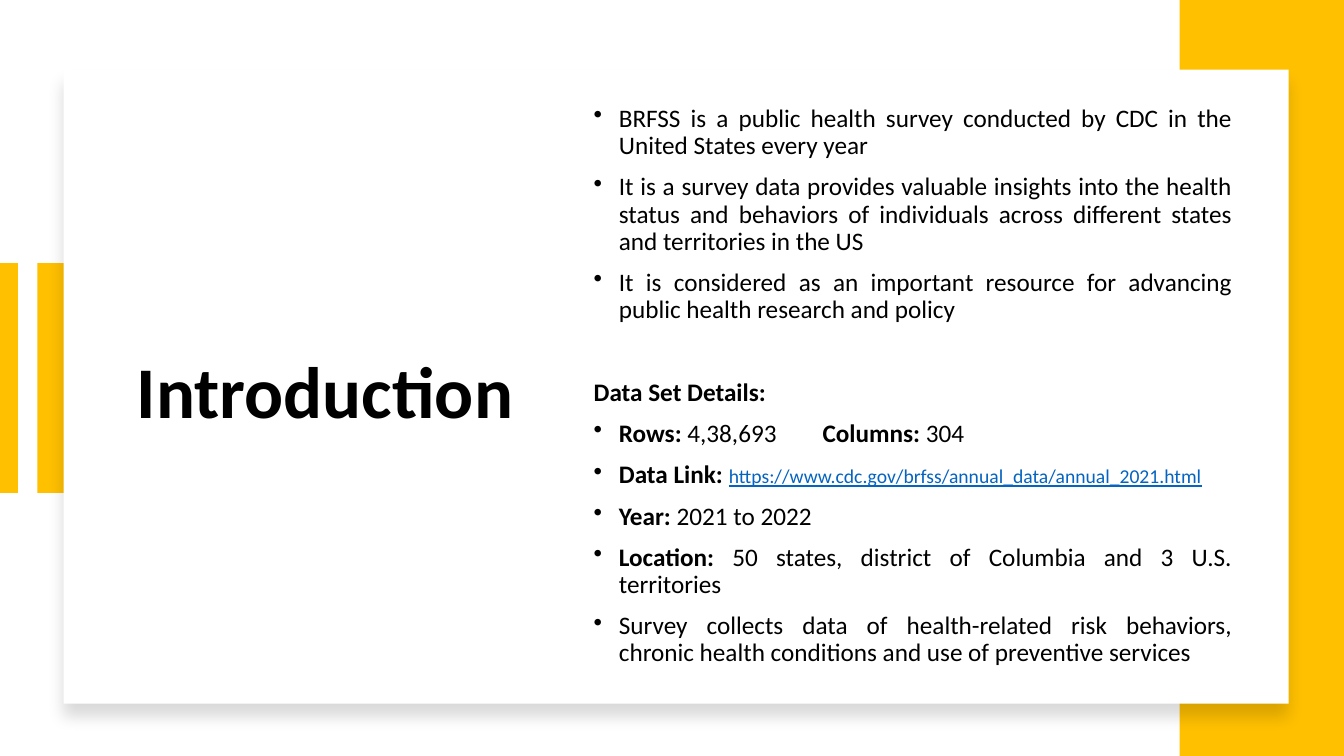
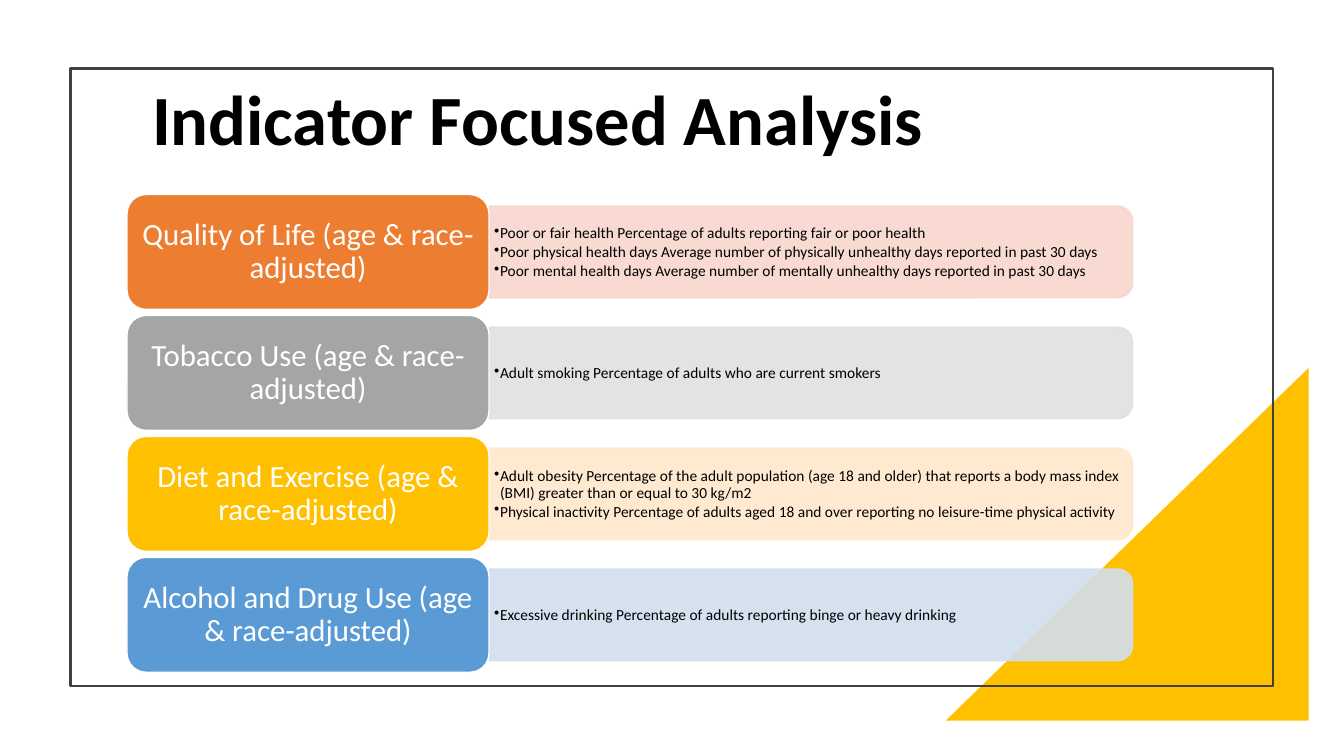
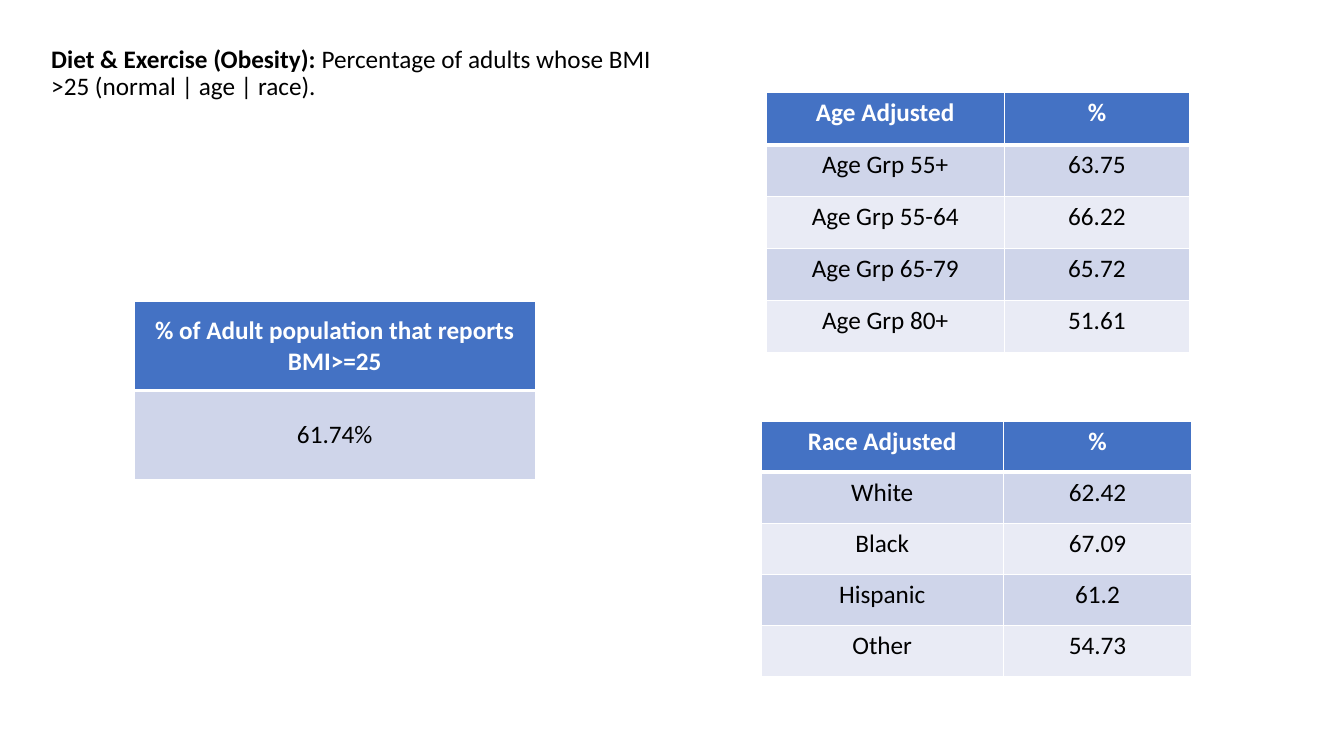
import dataclasses

import lxml.etree
import pptx
import pptx.dml.color
import pptx.enum.shapes
import pptx.enum.text
import pptx.oxml
import pptx.oxml.ns
import pptx.util

Inches = pptx.util.Inches
Pt = pptx.util.Pt
RGB = pptx.dml.color.RGBColor.from_string
qn = pptx.oxml.ns.qn
Shape = pptx.enum.shapes.MSO_SHAPE
Align = pptx.enum.text.PP_ALIGN
Anchor = pptx.enum.text.MSO_ANCHOR


@dataclasses.dataclass(frozen=True)
class Theme:
    font: str = "Calibri"
    black: str = "000000"
    white: str = "FFFFFF"
    accent: str = "FFC000"
    frame: str = "404040"
    link: str = "0563C1"
    header: str = "4472C4"
    bands: tuple = ("CFD5EA", "E9EBF5")
    intro_title: float = 52
    title: float = 50.4
    label: float = 22
    body: float = 18
    url: float = 14
    detail: float = 11


theme = Theme()


def add_block(page, kind, box, fill=None, line=None, width=1):
    block = page.shapes.add_shape(kind, *[Inches(length) for length in box])
    block.shadow.inherit = False
    if fill:
        block.fill.solid()
        block.fill.fore_color.rgb = RGB(fill)
    else:
        block.fill.background()
    if line:
        block.line.color.rgb = RGB(line)
        block.line.width = Pt(width)
    else:
        block.line.fill.background()
    return block


def write(frame, paragraphs, size, color=theme.black, align=Align.LEFT, spacing=0.9,
          before=0, after=0, indent=0, inset=(0.1, 0.05), anchor=Anchor.MIDDLE):
    frame.word_wrap = True
    frame.vertical_anchor = anchor
    frame.margin_left = frame.margin_right = Inches(inset[0])
    frame.margin_top = frame.margin_bottom = Inches(inset[1])
    for index, pieces in enumerate(paragraphs):
        para = frame.add_paragraph() if index else frame.paragraphs[0]
        para.alignment = align
        para.line_spacing = spacing
        para.space_before = Pt(before)
        para.space_after = Pt(after)
        if indent:
            properties = para._p.get_or_add_pPr()
            properties.set("marL", str(Inches(indent)))
            properties.set("indent", str(-Inches(indent)))
            lxml.etree.SubElement(properties, qn("a:buChar")).set("char", "•")
        for text, bold in pieces:
            span = para.add_run()
            span.text = text
            span.font.name = theme.font
            span.font.size = Pt(size)
            span.font.bold = bold
            span.font.color.rgb = RGB(color)


deck = pptx.Presentation()
deck.slide_width = Inches(13.33)
deck.slide_height = Inches(7.5)
intro, indicators, obesity = [deck.slides.add_slide(deck.slide_layouts[6]) for _ in range(3)]

titles = [
    (intro, (1.26, 1.36, 4.38, 5.12), [("Introduction", True)], theme.intro_title),
    (indicators, (1.41, 0.76, 8.83, 0.91), [("Indicator Focused Analysis", True)], theme.title),
    (obesity, (0.41, 0.3, 6.53, 0.86),
     [("Diet & Exercise (Obesity): ", True),
      ("Percentage of adults whose BMI >25 (normal | age | race).", False)], theme.body),
]

add_block(intro, Shape.RECTANGLE, (0.37, 2.61, 0.34, 2.28), theme.accent)
stripe = intro.shapes.add_connector(
    pptx.enum.shapes.MSO_CONNECTOR.STRAIGHT, Inches(0.08), Inches(2.61), Inches(0.08), Inches(4.89))
stripe.line.color.rgb = RGB(theme.accent)
stripe.line.width = Pt(14)
lxml.etree.SubElement(stripe._element.spPr, qn("a:effectLst"))
add_block(intro, Shape.RECTANGLE, (11.7, 0, 1.63, 7.5), theme.accent)

card = add_block(intro, Shape.RECTANGLE, (0.63, 0.69, 12.15, 6.29), theme.white)
shadow = lxml.etree.SubElement(card._element.spPr.find(qn("a:effectLst")), qn("a:outerShdw"))
for name, value in (("blurRad", Pt(11)), ("dist", Pt(10)), ("dir", 90 * 60000)):
    shadow.set(name, str(value))
shadow_color = lxml.etree.SubElement(shadow, qn("a:srgbClr"))
shadow_color.set("val", theme.black)
lxml.etree.SubElement(shadow_color, qn("a:alpha")).set("val", "15000")

facts = [
    [("BRFSS is a public health survey conducted by CDC in the United States every year", False)],
    [("It is a survey data provides valuable insights into the health status and behaviors of "
      "individuals across different states and territories in the US", False)],
    [("It is considered as an important resource for advancing public health research and policy", False)],
    [("Data Set Details:", True)],
    [("Rows:", True), (" 4,38,693\t", False), ("Columns:", True), (" 304", False)],
    [("Data Link: ", True), ("https://www.cdc.gov/brfss/annual_data/annual_2021.html", False)],
    [("Year:", True), (" 2021 to 2022", False)],
    [("Location:", True), (" 50 states, district of Columbia and 3 U.S. territories", False)],
    [("Survey collects data of health-related risk behaviors, chronic health conditions and use of "
      "preventive services", False)],
]
fact_box = intro.shapes.add_textbox(Inches(5.79), Inches(0.86), Inches(6.53), Inches(5.95))
write(fact_box.text_frame, facts, theme.body, align=Align.JUSTIFY, before=10, indent=0.25)

heading, counts, source = fact_box.text_frame.paragraphs[3:6]
heading.space_before = Pt(39.5)
heading_properties = heading._p.get_or_add_pPr()
heading_properties.set("marL", "0")
heading_properties.set("indent", "0")
heading_properties.remove(heading_properties.find(qn("a:buChar")))
tab_list = lxml.etree.SubElement(counts._p.get_or_add_pPr(), qn("a:tabLst"))
tab = lxml.etree.SubElement(tab_list, qn("a:tab"))
tab.set("pos", str(Inches(2.27)))
tab.set("algn", "l")
address = source.runs[1].font
address.size = Pt(theme.url)
address.underline = True
address.color.rgb = RGB(theme.link)

corner = add_block(indicators, Shape.RIGHT_TRIANGLE, (9.38, 3.65, 3.6, 3.5), theme.accent)
corner._element.spPr.xfrm.set("flipH", "1")
add_block(indicators, Shape.RECTANGLE, (0.7, 0.68, 11.93, 6.13), line=theme.frame, width=1.5)

groups = [
    ("Quality of Life (age & race-adjusted)", "ED7D31", "F8D7CE", [
        "Poor or fair health Percentage of adults reporting fair or poor health",
        "Poor physical health days Average number of physically unhealthy days reported in past 30 days",
        "Poor mental health days Average number of mentally unhealthy days reported in past 30 days"]),
    ("Tobacco Use (age & race-adjusted)", "A5A5A5", "E1E1E1", [
        "Adult smoking Percentage of adults who are current smokers"]),
    ("Diet and Exercise (age & race-adjusted)", theme.accent, "FFE8CC", [
        "Adult obesity Percentage of the adult population (age 18 and older) that reports a body mass "
        "index (BMI) greater than or equal to 30 kg/m2",
        "Physical inactivity Percentage of adults aged 18 and over reporting no leisure-time physical activity"]),
    ("Alcohol and Drug Use (age & race-adjusted)", "5B9BD5", "D2DEEF", [
        "Excessive drinking Percentage of adults reporting binge or heavy drinking"]),
]
for row, (label, strong, pale, details) in enumerate(groups):
    top = 1.93 + 1.2 * row
    panel = add_block(indicators, Shape.ROUND_2_SAME_RECTANGLE, (7.59, top - 2.62, 0.91, 6.38), pale, pale)
    panel.rotation = 90
    for color in panel._element.spPr.iter(qn("a:srgbClr")):
        lxml.etree.SubElement(color, qn("a:alpha")).set("val", "90000")
    detail_box = indicators.shapes.add_textbox(Inches(4.85), Inches(top + 0.16), Inches(6.34), Inches(0.83))
    write(detail_box.text_frame, [[(detail, False)] for detail in details], theme.detail,
          after=1.65, indent=0.06, inset=(0.05, 0.02))
    pill = add_block(indicators, Shape.ROUNDED_RECTANGLE, (1.26, top, 3.59, 1.14), strong, theme.white)
    write(pill.text_frame, [[(label, False)]], theme.label, theme.white, Align.CENTER, inset=(0.09, 0.05))

for page, box, pieces, size in titles:
    title_box = page.shapes.add_textbox(*[Inches(length) for length in box])
    write(title_box.text_frame, [pieces], size)

tables = [
    ((7.6, 0.92, 4.2, 2.58), (2.36, 1.84), Anchor.TOP, [
        ("Age Adjusted", "%"), ("Age Grp 55+", "63.75"), ("Age Grp 55-64", "66.22"),
        ("Age Grp 65-79", "65.72"), ("Age Grp 80+", "51.61")]),
    ((7.55, 4.18, 4.27, 2.53), (2.4, 1.87), Anchor.TOP, [
        ("Race Adjusted", "%"), ("White", "62.42"), ("Black", "67.09"),
        ("Hispanic", "61.2"), ("Other", "54.73")]),
    ((1.33, 2.99, 3.98, 1.77), (3.98,), Anchor.MIDDLE, [
        ("% of Adult population that reports BMI>=25",), ("61.74%",)]),
]
for box, widths, anchor, rows in tables:
    grid = obesity.shapes.add_table(len(rows), len(widths), *[Inches(length) for length in box]).table
    for column, width in zip(grid.columns, widths):
        column.width = Inches(width)
    for row, texts in enumerate(rows):
        for column, text in enumerate(texts):
            cell = grid.cell(row, column)
            cell.fill.solid()
            cell.fill.fore_color.rgb = RGB(theme.bands[(row - 1) % 2] if row else theme.header)
            cell.vertical_anchor = anchor
            para = cell.text_frame.paragraphs[0]
            para.text = text
            para.alignment = Align.CENTER
            font = para.runs[0].font
            font.name = theme.font
            font.size = Pt(theme.body)
            font.bold = row == 0
            font.color.rgb = RGB(theme.black if row else theme.white)
            for order, side in enumerate(("lnL", "lnR", "lnT", "lnB")):
                under_header = (row, side) in ((0, "lnB"), (1, "lnT"))
                border = lxml.etree.Element(qn("a:" + side))
                border.set("w", str(Pt(3 if under_header else 1)))
                border_fill = lxml.etree.SubElement(border, qn("a:solidFill"))
                lxml.etree.SubElement(border_fill, qn("a:srgbClr")).set("val", theme.white)
                cell._tc.get_or_add_tcPr().insert(order, border)

deck.save("out.pptx")
